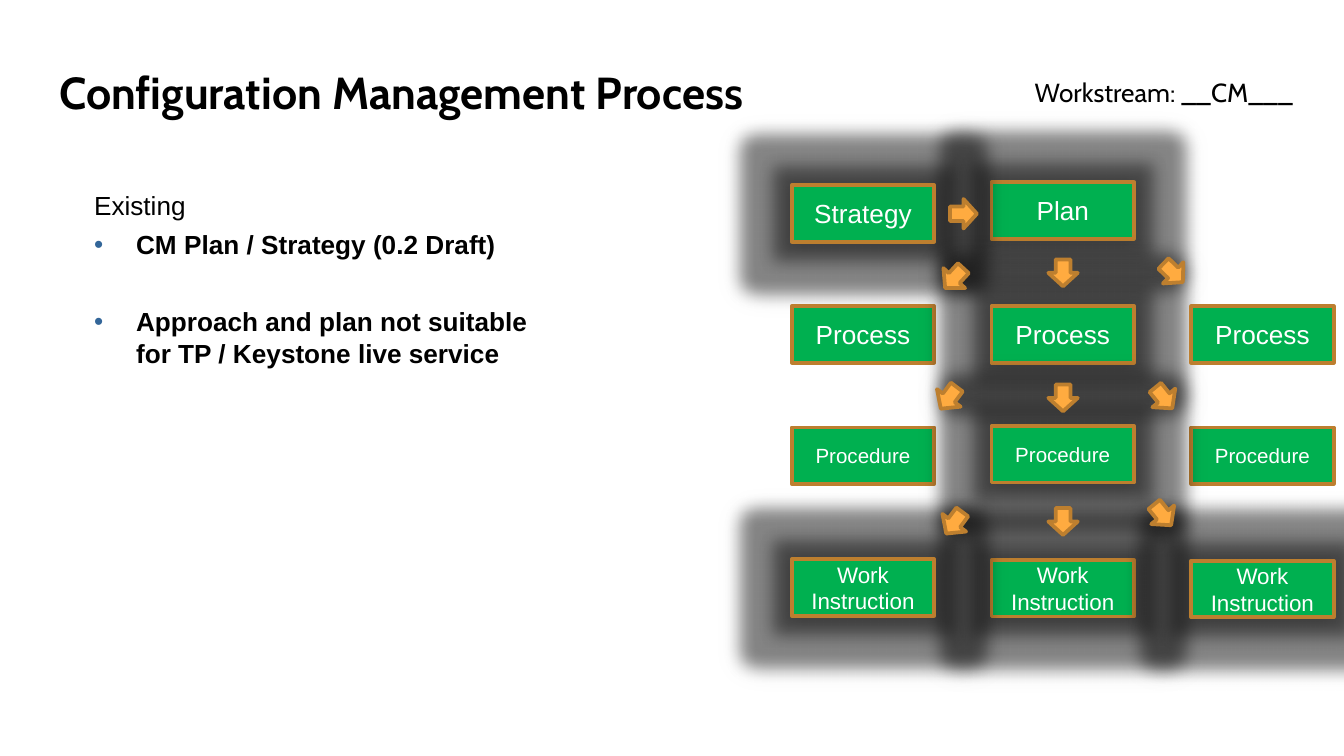
from dataclasses import dataclass

from lxml import etree
from pptx import Presentation
from pptx.dml.color import RGBColor
from pptx.enum.shapes import MSO_SHAPE
from pptx.enum.text import MSO_ANCHOR, MSO_AUTO_SIZE, PP_ALIGN
from pptx.oxml.ns import qn
from pptx.util import Pt

RECTANGLE, DOWN_ARROW = MSO_SHAPE.RECTANGLE, MSO_SHAPE.DOWN_ARROW
LEFT, CENTER = PP_ALIGN.LEFT, PP_ALIGN.CENTER
TOP, MIDDLE = MSO_ANCHOR.TOP, MSO_ANCHOR.MIDDLE
NO_AUTOFIT = MSO_AUTO_SIZE.NONE

COLORS = {
    "black": "000000",
    "white": "FFFFFF",
    "green": "00B050",
    "orange": "FFAB40",
    "outline": "BD7F2F",
    "bullet": "336699",
}
COLUMN_LEFT, COLUMN_PITCH = 424.2, 107
BOX_WIDTH, BOX_HEIGHT = 76.3, 30.3
ARROW_WIDTH, ARROW_HEIGHT = 15.8, 14.4
INDENT = Pt(22.5)


@dataclass
class Box:
    column: int
    top: float
    label: str
    size: float
    glowing: bool = False


@dataclass
class Arrow:
    left: float
    top: float
    rotation: float = 0


BOXES = [
    Box(1, 97.6, "Plan", 14, True),
    Box(0, 99.2, "Strategy", 14, True),
    *(Box(column, 164, "Process", 14, column == 1) for column in range(3)),
    Box(0, 229, "Procedure", 11),
    Box(1, 300, "Work\nInstruction", 12, True),
    Box(2, 229, "Procedure", 11),
    Box(1, 228.2, "Procedure", 11, True),
    Box(2, 300.4, "Work\nInstruction", 12, True),
    Box(0, 299.6, "Work\nInstruction", 12, True),
]
ARROWS = [
    Arrow(561.6, 139),
    Arrow(508.3, 107.3, 270),
    Arrow(561.6, 206),
    Arrow(615.6, 206, 321),
    Arrow(500.4, 206, 36.6),
    Arrow(561.6, 272.2),
    Arrow(615, 268.6, 321),
    Arrow(503.3, 272.9, 36.6),
    Arrow(503.3, 141.8, 42.6),
    Arrow(620.6, 139, 313.9),
]


def rgb(name: str) -> RGBColor:
    return RGBColor.from_string(COLORS[name])


def apply(target, values: dict) -> None:
    for attribute, value in values.items():
        setattr(target, attribute, value)


def place(shape, left: float, top: float, width: float, height: float) -> None:
    apply(shape, {"left": Pt(left), "top": Pt(top), "width": Pt(width), "height": Pt(height)})


def style_font(font, name: str, size: float, color: str, bold: bool = False) -> None:
    apply(font, {"name": name, "size": Pt(size), "bold": bold})
    font.color.rgb = rgb(color)


def add_effect(effects, tag: str, alpha: int, settings: dict) -> None:
    effect = etree.SubElement(effects, qn(tag), settings)
    color = etree.SubElement(effect, qn("a:srgbClr"), val=COLORS["black"])
    etree.SubElement(color, qn("a:alpha"), val=str(alpha * 1000))


def add_glow(shape) -> None:
    effects = shape._element.spPr.find(qn("a:effectLst"))
    add_effect(effects, "a:glow", 40, {"rad": str(Pt(18))})
    add_effect(effects, "a:outerShdw", 35, {
        "blurRad": str(Pt(8.5)), "dist": str(Pt(1)), "dir": "5400000", "algn": "ctr",
    })


def add_outlined(slide, preset, bounds: tuple, fill: str):
    shape = slide.shapes.add_shape(preset, *(Pt(value) for value in bounds))
    shape.shadow.inherit = False
    shape.fill.solid()
    shape.fill.fore_color.rgb = rgb(fill)
    shape.line.color.rgb = rgb("outline")
    shape.line.width = Pt(2)
    return shape


def add_box(slide, box: Box) -> None:
    left = COLUMN_LEFT + box.column * COLUMN_PITCH
    shape = add_outlined(slide, RECTANGLE, (left, box.top, BOX_WIDTH, BOX_HEIGHT), "green")
    if box.glowing:
        add_glow(shape)
    frame = shape.text_frame
    apply(frame, {"text": box.label, "vertical_anchor": MIDDLE, "word_wrap": True})
    for paragraph in frame.paragraphs:
        paragraph.alignment = CENTER
        style_font(paragraph.runs[0].font, "Arial", box.size, "white")


def add_arrow(slide, arrow: Arrow) -> None:
    bounds = (arrow.left, arrow.top, ARROW_WIDTH, ARROW_HEIGHT)
    add_outlined(slide, DOWN_ARROW, bounds, "orange").rotation = arrow.rotation


def set_bullet(paragraph, bulleted: bool) -> None:
    properties = paragraph._p.get_or_add_pPr()
    properties.set("marL", str(INDENT if bulleted else 0))
    properties.set("indent", str(-INDENT if bulleted else 0))
    if bulleted:
        color = etree.SubElement(properties, qn("a:buClr"))
        etree.SubElement(color, qn("a:srgbClr"), val=COLORS["bullet"])
        etree.SubElement(properties, qn("a:buChar"), char="•")
    else:
        etree.SubElement(properties, qn("a:buNone"))


def fill_title(title) -> None:
    place(title, 24.5, 26.6, 599, 45.4)
    frame = title.text_frame
    apply(frame, {"text": "Configuration Management Process", "vertical_anchor": MIDDLE,
                  "auto_size": NO_AUTOFIT})
    frame.paragraphs[0].alignment = LEFT
    style_font(frame.paragraphs[0].runs[0].font, "Cabin", 24, "black", True)


def fill_findings(findings) -> None:
    place(findings, 43.2, 98, 267, 104.4)
    frame = findings.text_frame
    apply(frame, {
        "text": "Existing\nCM Plan / Strategy (0.2 Draft)\n"
                "Approach and plan not suitable for TP / Keystone live service",
        "vertical_anchor": TOP, "auto_size": NO_AUTOFIT, "word_wrap": True,
    })
    for paragraph, gap, bulleted in zip(frame.paragraphs, (0, 0, 20.5), (False, True, True)):
        apply(paragraph, {"alignment": LEFT, "space_before": Pt(gap), "space_after": Pt(4)})
        set_bullet(paragraph, bulleted)
        style_font(paragraph.runs[0].font, "Arial", 14, "black", bulleted)


def add_workstream(slide) -> None:
    workstream = slide.shapes.add_textbox(Pt(547.2), Pt(37.4), Pt(155.5), Pt(24.5))
    apply(workstream.text_frame, {"text": "Workstream: __CM___", "word_wrap": False})
    style_font(workstream.text_frame.paragraphs[0].runs[0].font, "Cabin", 14, "black")


def main() -> None:
    deck = Presentation()
    apply(deck, {"slide_width": Pt(720), "slide_height": Pt(405)})
    slide = deck.slides.add_slide(deck.slide_layouts[1])
    fill_title(slide.shapes.title)
    add_workstream(slide)
    fill_findings(slide.placeholders[1])
    for box in BOXES:
        add_box(slide, box)
    for arrow in ARROWS:
        add_arrow(slide, arrow)
    deck.save("out.pptx")


if __name__ == "__main__":
    main()
